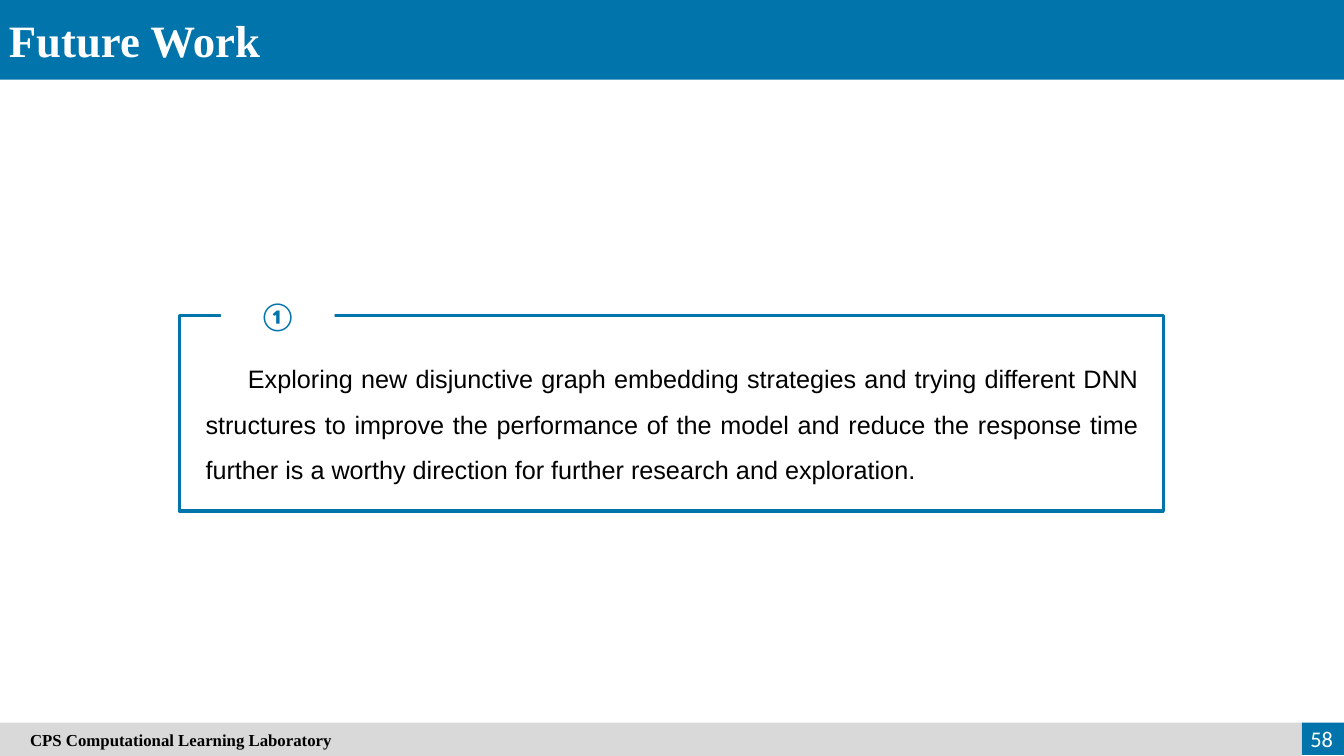
from pptx import Presentation
from pptx.dml.color import RGBColor
from pptx.enum.shapes import MSO_SHAPE
from pptx.enum.text import MSO_ANCHOR, PP_ALIGN
from pptx.util import Inches, Pt

BLUE, GREY, WHITE, BLACK = "0174AB", "D9D9D9", "FFFFFF", "000000"


def color(value):
    return RGBColor.from_string(value)


class SlideBuilder:
    serif, sans, number = "Times New Roman", "Arial", "Calibri"

    def __init__(self, slide):
        self.slide = slide

    def rect(self, left, top, width, height, fill=None, line=None):
        rect = self.slide.shapes.add_shape(
            MSO_SHAPE.RECTANGLE, Inches(left), Inches(top), Inches(width), Inches(height))
        rect.shadow.inherit = False
        if fill:
            rect.fill.solid()
            rect.fill.fore_color.rgb = color(fill)
        else:
            rect.fill.background()
        if line:
            rect.line.color.rgb = color(line)
            rect.line.width = Pt(2.25)
        else:
            rect.line.fill.background()
        return rect

    def box(self, left, top, width, height):
        return self.slide.shapes.add_textbox(
            Inches(left), Inches(top), Inches(width), Inches(height))

    def label(self, holder, text, font, size, ink, bold=False, align=PP_ALIGN.LEFT,
              anchor=MSO_ANCHOR.MIDDLE, spacing=None, indent=0):
        frame = holder.text_frame
        frame.word_wrap = True
        frame.vertical_anchor = anchor
        paragraph = frame.paragraphs[0]
        paragraph.alignment = align
        if spacing:
            paragraph.line_spacing = spacing
        if indent:
            paragraph._p.get_or_add_pPr().set("indent", str(Inches(indent)))
        run = paragraph.add_run()
        run.text = text
        run.font.name = font
        run.font.size = Pt(size)
        run.font.bold = bold
        run.font.color.rgb = color(ink)


def main():
    deck = Presentation()
    deck.slide_width, deck.slide_height = Inches(13.33), Inches(7.5)
    page = SlideBuilder(deck.slides.add_slide(deck.slide_layouts[6]))

    page.rect(0, 0, 13.33, 0.79, fill=BLUE)
    page.label(page.box(-0.01, 0.08, 5.37, 0.64), "Future Work", page.serif, 32, WHITE,
               bold=True, align=PP_ALIGN.JUSTIFY, anchor=MSO_ANCHOR.TOP)

    page.rect(1.78, 3.13, 9.76, 1.94, line=BLUE)
    page.label(page.rect(2.19, 2.85, 1.13, 0.55, fill=WHITE), "①", page.number, 20, BLUE,
               bold=True, align=PP_ALIGN.CENTER)
    page.label(page.box(1.94, 3.41, 9.45, 1.41),
               "Exploring new disjunctive graph embedding strategies and trying different DNN "
               "structures to improve the performance of the model and reduce the response time "
               "further is a worthy direction for further research and exploration.",
               page.sans, 18, BLACK, align=PP_ALIGN.JUSTIFY, anchor=MSO_ANCHOR.TOP,
               spacing=1.5, indent=0.42)

    page.rect(12.91, 7.17, 0.42, 0.32, fill=BLUE)
    page.label(page.rect(0, 7.17, 12.91, 0.33, fill=GREY),
               "CPS Computational Learning Laboratory", page.serif, 12, BLACK,
               bold=True, indent=0.2)
    page.label(page.box(12.69, 7.13, 0.63, 0.4), "58", page.number, 16, WHITE,
               align=PP_ALIGN.RIGHT)

    deck.save("out.pptx")


if __name__ == "__main__":
    main()
